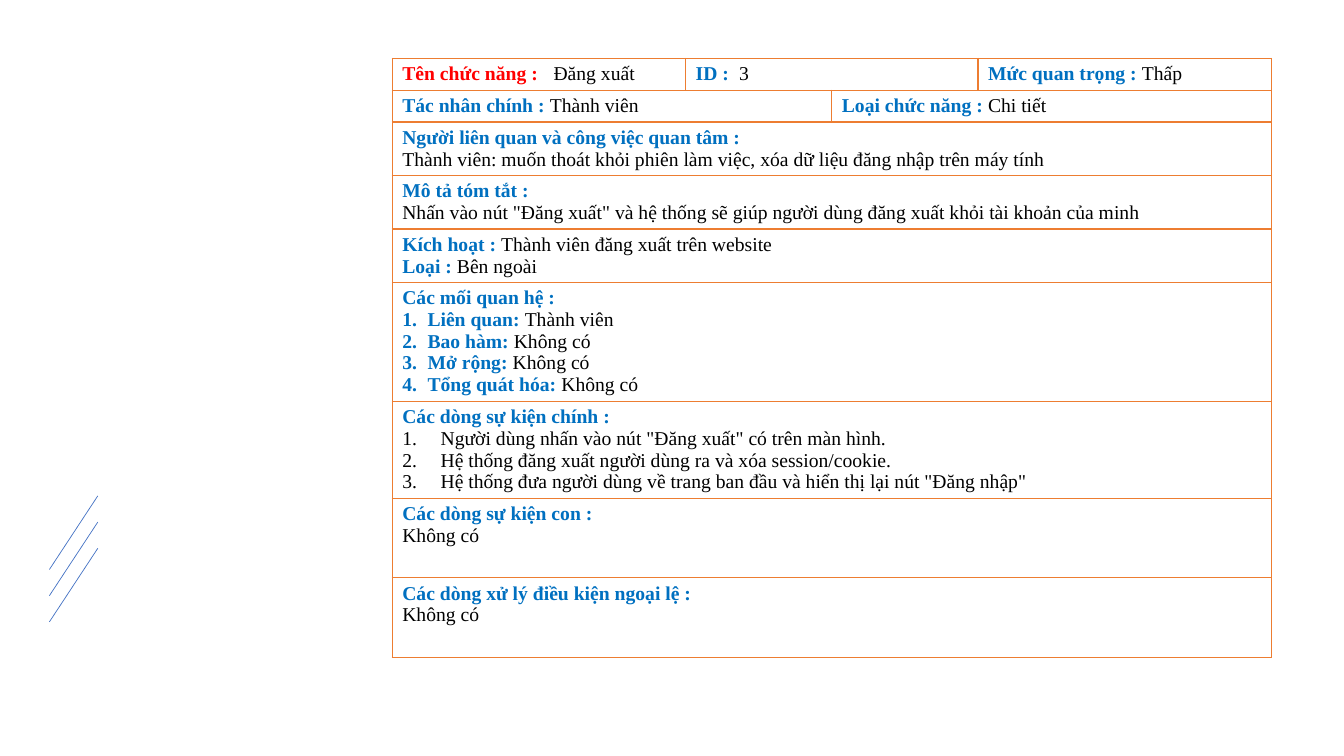
"""Build the use case slide for logging out."""
from lxml import etree
from pptx import Presentation
from pptx import util as u
from pptx.dml.color import RGBColor
from pptx.enum import shapes
from pptx.oxml import ns

RED, BLUE, BLACK = "FF0000", "0070C0", "000000"
EDGE, SLASH = "ED7D31", "4472C4"
FONT, SIZE = "Times New Roman", 14
LEFT, TOP = 3.89, 0.58
COLS = [2.91, 1.45, 1.45, 2.91]
ROWS = [0.31, 0.31, 0.53, 0.53, 0.53, 1.18, 0.96, 0.79, 0.79]
TABS = {"Tên chức năng :": 1.5, "ID :": 0.43}

# Each row lists its cells as (columns spanned, indent of numbered lines, lines).
CELLS = [
    [(1, 0, [("Tên chức năng :", "\tĐăng xuất")]),
     (2, 0, [("ID :", "\t3")]),
     (1, 0, [("Mức quan trọng : ", "Thấp")])],
    [(2, 0, [("Tác nhân chính : ", "Thành viên")]),
     (2, 0, [("Loại chức năng : ", "Chi tiết")])],
    [(4, 0, [("Người liên quan và công việc quan tâm :", ""),
             ("", "Thành viên: muốn thoát khỏi phiên làm việc, xóa dữ liệu đăng nhập trên máy tính")])],
    [(4, 0, [("Mô tả tóm tắt :", ""),
             ("", 'Nhấn vào nút "Đăng xuất" và hệ thống sẽ giúp người dùng đăng xuất khỏi tài khoản của minh')])],
    [(4, 0, [("Kích hoạt : ", "Thành viên đăng xuất trên website"),
             ("Loại : ", "Bên ngoài")])],
    [(4, 0.25, [("Các mối quan hệ :", ""),
                ("Liên quan: ", "Thành viên"),
                ("Bao hàm: ", "Không có"),
                ("Mở rộng: ", "Không có"),
                ("Tổng quát hóa: ", "Không có")])],
    [(4, 0.38, [("Các dòng sự kiện chính :", ""),
                ("", 'Người dùng nhấn vào nút "Đăng xuất" có trên màn hình.'),
                ("", "Hệ thống đăng xuất người dùng ra và xóa session/cookie."),
                ("", 'Hệ thống đưa người dùng về trang ban đầu và hiển thị lại nút "Đăng nhập"')])],
    [(4, 0, [("Các dòng sự kiện con :", ""), ("", "Không có")])],
    [(4, 0, [("Các dòng xử lý điều kiện ngoại lệ :", ""), ("", "Không có")])],
]


def tint(code):
    return RGBColor.from_string(code)


def add(root, tag, **attrs):
    return etree.SubElement(root, ns.qn(tag), attrs)


def frame(cell):
    cell.fill.background()
    props = cell._tc.get_or_add_tcPr()
    for spot, side in enumerate(("a:lnL", "a:lnR", "a:lnT", "a:lnB")):
        line = etree.Element(ns.qn(side), w=str(u.Pt(1)))
        add(add(line, "a:solidFill"), "a:srgbClr", val=EDGE)
        props.insert(spot, line)


def write(para, label, value, indent):
    props = para._p.get_or_add_pPr()
    if indent:
        props.set("marL", str(u.Inches(indent)))
        props.set("indent", str(-u.Inches(indent)))
        add(props, "a:buFont", typeface="+mj-lt")
        add(props, "a:buAutoNum", type="arabicPeriod")
    if label in TABS:
        stops = add(props, "a:tabLst")
        add(stops, "a:tab", pos=str(u.Inches(TABS[label])), algn="l")
    para.font.name, para.font.size = FONT, u.Pt(SIZE)
    head = RED if label.startswith("Tên") else BLUE
    parts = [part for part in ((label, head, True), (value, BLACK, False)) if part[0]]
    for words, code, bold in parts:
        run = para.add_run()
        run.text = words
        font = run.font if len(parts) > 1 else para.font
        font.bold, font.color.rgb = bold, tint(code)


def fill(cell, indent, lines):
    box = cell.text_frame
    for row, (label, value) in enumerate(lines):
        para = box.add_paragraph() if row else box.paragraphs[0]
        write(para, label, value, indent if row else 0)


def grid(slide):
    table = slide.shapes.add_table(
        len(ROWS), len(COLS), u.Inches(LEFT), u.Inches(TOP),
        u.Inches(sum(COLS)), u.Inches(sum(ROWS))).table
    table.first_row = table.horz_banding = False
    for col, width in zip(table.columns, COLS):
        col.width = u.Inches(width)
    for row, (high, cells) in enumerate(zip(ROWS, CELLS)):
        table.rows[row].height = u.Inches(high)
        for col in range(len(COLS)):
            frame(table.cell(row, col))
        start = 0
        for span, indent, lines in cells:
            cell = table.cell(row, start)
            if span > 1:
                cell.merge(table.cell(row, start + span - 1))
            fill(cell, indent, lines)
            start += span


def slashes(slide):
    for step in range(3):
        drop = step * 0.26
        line = slide.shapes.add_connector(
            shapes.MSO_CONNECTOR.STRAIGHT, u.Inches(0.49), u.Inches(5.65 + drop),
            u.Inches(0.97), u.Inches(4.92 + drop))
        line.line.color.rgb, line.line.width = tint(SLASH), u.Pt(0.5)
        add(line._element.spPr, "a:effectLst")


def main():
    deck = Presentation()
    deck.slide_width, deck.slide_height = u.Inches(13.33), u.Inches(7.5)
    slide = deck.slides.add_slide(deck.slide_layouts[6])
    slashes(slide)
    grid(slide)
    deck.save("out.pptx")


if __name__ == "__main__":
    main()
